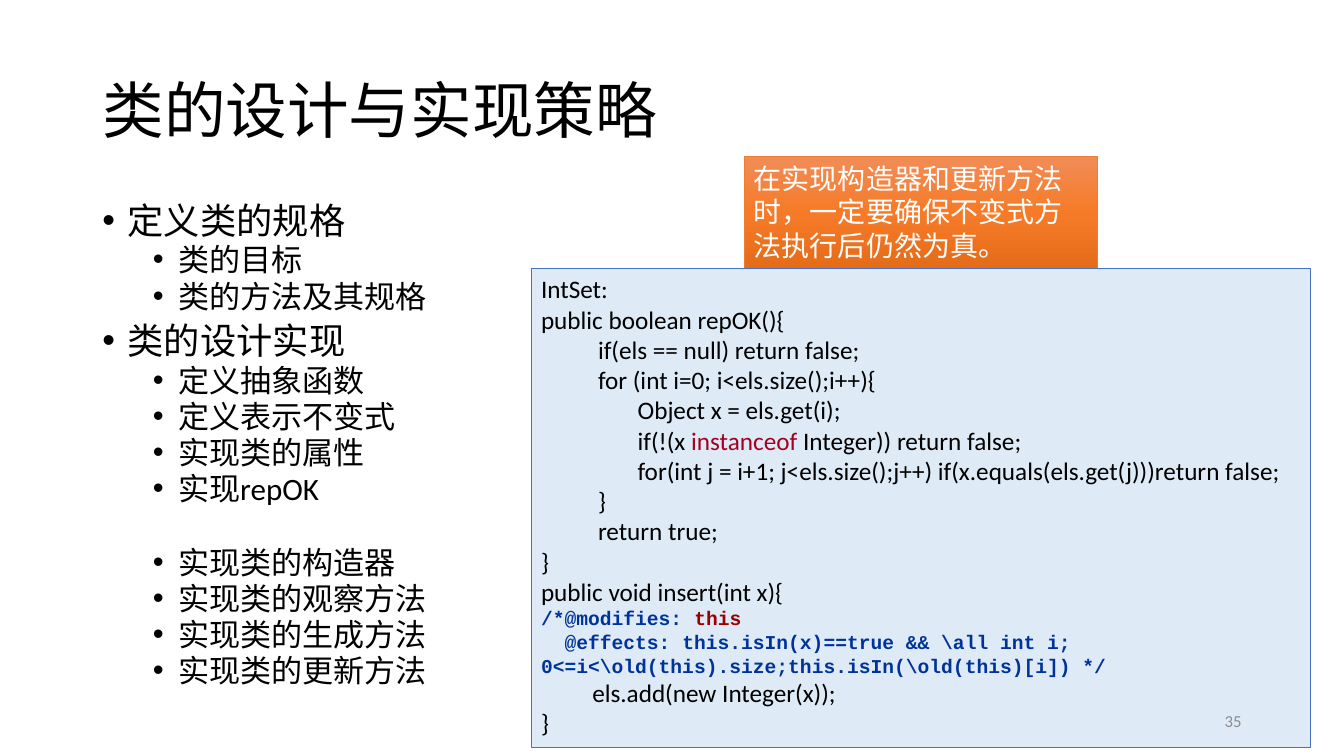
from copy import deepcopy
from pptx import Presentation
from pptx.dml.color import RGBColor as Rgb
from pptx.enum.shapes import MSO_SHAPE as Shape
from pptx.enum.text import MSO_ANCHOR as Anchor, MSO_AUTO_SIZE as AutoSize, PP_ALIGN as Align
from pptx.oxml.ns import qn
from pptx.oxml.xmlchemy import OxmlElement as Element
from pptx.util import Pt

COLORS = {
    "text": "000000", "white": "FFFFFF", "number": "8C8C8C",
    "note_top": "F18C57", "note_middle": "F67B28", "note_bottom": "E56C19", "note_line": "ED7D31",
    "code_fill": "DEEBF7", "code_line": "4472C4",
    "keyword": "A50021", "comment": "003399", "comment_keyword": "990000",
}

# Outline entries: level, text
OUTLINE = [
    (0, "定义类的规格"), (1, "类的目标"), (1, "类的方法及其规格"),
    (0, "类的设计实现"), (1, "定义抽象函数"), (1, "定义表示不变式"),
    (1, "实现类的属性"), (1, "实现repOK"), (1, "实现类的构造器"),
    (1, "实现类的观察方法"), (1, "实现类的生成方法"), (1, "实现类的更新方法"),
]
GROUP_START = "实现类的构造器"

# Code lines: left indent, style, spans of text and colour
CODE = [
    (0, "code", [("IntSet:", "text")]),
    (0, "code", [("public boolean repOK(){", "text")]),
    (40.7, "code", [("if(els == null) return false;", "text")]),
    (40.7, "code", [("for (int i=0; i<els.size();i++){", "text")]),
    (69, "code", [("Object x = els.get(i);", "text")]),
    (69, "code", [("if(!(x ", "text"), ("instanceof ", "keyword"),
                  ("Integer)) return false;", "text")]),
    (69, "code", [("for(int j = i+1; j<els.size();j++) "
                   "if(x.equals(els.get(j)))return false;", "text")]),
    (40.7, "code", [("}", "text")]),
    (40.7, "code", [("return true;", "text")]),
    (0, "code", [("}", "text")]),
    (0, "code", [("public void insert(int x){", "text")]),
    (0, "comment", [("/*@modifies: ", "comment"), ("this", "comment_keyword")]),
    (16.8, "comment", [("@effects: this.isIn(x)==true && \\all int i; "
                        "0<=i<\\old(this).size;this.isIn(\\old(this)[i]) */", "comment")]),
    (36.6, "code", [("els.add(new Integer(x));", "text")]),
    (0, "code", [("}", "text")]),
]
CODE_STYLES = {"code": (18, "Calibri", False), "comment": (14, "Courier New", True)}


def rgb(name):
    return Rgb.from_string(COLORS[name])


def set_font(font, size, color, name="Calibri", bold=False):
    font.size, font.name, font.bold = Pt(size), name, bold
    font.color.rgb = rgb(color)


def place(shape, box):
    shape.left, shape.top, shape.width, shape.height = [Pt(length) for length in box]


def set_frame(shape, anchor):
    frame = shape.text_frame
    frame.word_wrap, frame.auto_size, frame.vertical_anchor = True, AutoSize.NONE, anchor
    return frame


def indent(para, margin, first=0):
    props = para._p.get_or_add_pPr()
    props.set("marL", str(Pt(margin)))
    props.set("indent", str(Pt(first)))
    return props


def add_panel(page, box, line):
    panel = page.shapes.add_shape(Shape.RECTANGLE, *[Pt(length) for length in box])
    panel.shadow.inherit = False
    panel.line.color.rgb = rgb(line)
    panel.line.width = Pt(0.5)
    return panel


def build_title(page, box):
    title = page.shapes.title
    place(title, box)
    para = set_frame(title, Anchor.MIDDLE).paragraphs[0]
    para.text = "类的设计与实现策略"
    para.alignment, para.line_spacing = Align.LEFT, 0.9
    set_font(para.font, 44, "text")


def build_outline(page, box):
    body = page.placeholders[1]
    place(body, box)
    frame = set_frame(body, Anchor.TOP)
    for index, (level, text) in enumerate(OUTLINE):
        para = frame.add_paragraph() if index else frame.paragraphs[0]
        para.text, para.level = text, level
        para.line_spacing = 0.8
        space = 31 if text == GROUP_START else (9.2, 4.6)[level]
        para.space_before = Pt(space)
        set_font(para.font, (25.9, 22.2)[level], "text")
        props = indent(para, 18 + 36 * level, -18)
        bullet = Element("a:buChar")
        bullet.set("char", "•")
        props.insert_element_before(bullet, "a:tabLst", "a:defRPr", "a:extLst")


def build_note(page, box):
    note = add_panel(page, box, "note_line")
    note.fill.gradient()
    note.fill.gradient_angle = 270
    stop_list = note._element.spPr.find(".//" + qn("a:gsLst"))
    stop_list.insert(1, deepcopy(stop_list[0]))
    names = ("note_top", "note_middle", "note_bottom")
    for index, (stop, name) in enumerate(zip(note.fill.gradient_stops, names)):
        stop.position = index / 2
        stop.color.rgb = rgb(name)
    para = set_frame(note, Anchor.TOP).paragraphs[0]
    para.text = "在实现构造器和更新方法时，一定要确保不变式方法执行后仍然为真。"
    para.alignment = Align.LEFT
    set_font(para.font, 20, "white")


def build_code(page, box):
    panel = add_panel(page, box, "code_line")
    panel.fill.solid()
    panel.fill.fore_color.rgb = rgb("code_fill")
    frame = set_frame(panel, Anchor.TOP)
    for index, (left, style, spans) in enumerate(CODE):
        para = frame.add_paragraph() if index else frame.paragraphs[0]
        para.alignment = Align.LEFT
        indent(para, 0, left)
        size, name, bold = CODE_STYLES[style]
        set_font(para.font, size, spans[0][1], name, bold)
        for text, color in spans:
            span = para.add_run()
            span.text = text
            set_font(span.font, size, color, name, bold)


def build_number(page, box):
    number = page.shapes.add_textbox(*[Pt(length) for length in box])
    para = set_frame(number, Anchor.MIDDLE).paragraphs[0]
    para.text, para.alignment = "35", Align.RIGHT
    set_font(para.font, 12, "number")


deck = Presentation()
deck.slide_width, deck.slide_height = Pt(960), Pt(540)
page = deck.slides.add_slide(deck.slide_layouts[1])
build_title(page, (66, 28.8, 828, 104.4))
build_outline(page, (66, 144, 828, 382.5))
build_note(page, (531.4, 111.6, 252.7, 80))
build_code(page, (379.4, 192, 556.6, 342))
build_number(page, (678, 500.4, 216, 28.8))
deck.save("out.pptx")
